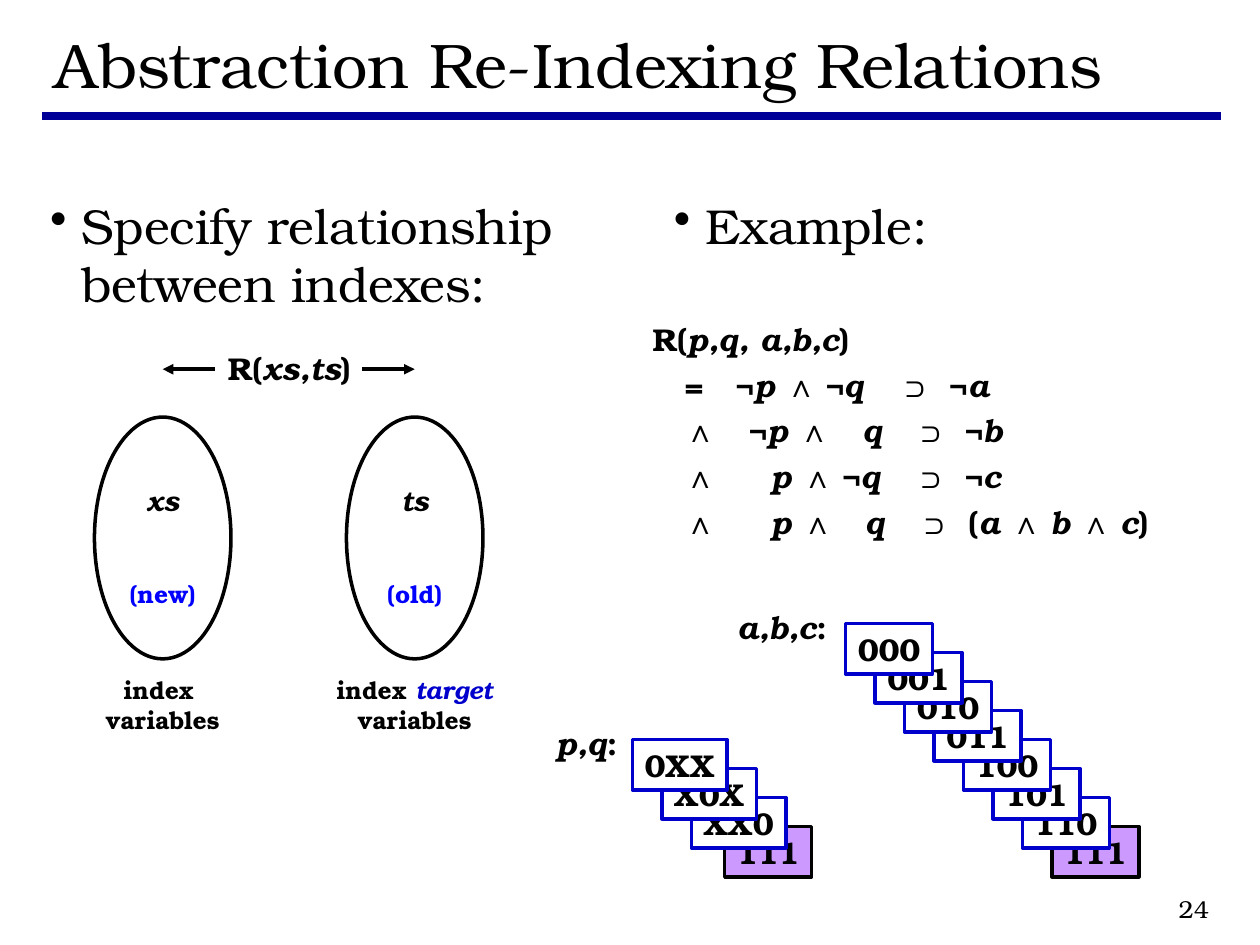
"""Build the slide on abstraction re-indexing relations."""
from dataclasses import dataclass
from itertools import groupby
from typing import NamedTuple

from lxml.etree import SubElement
from pptx import Presentation
from pptx.dml.color import RGBColor
from pptx.enum.shapes import MSO_CONNECTOR, MSO_SHAPE
from pptx.enum.text import MSO_ANCHOR, PP_ALIGN
from pptx.oxml.ns import qn
from pptx.shapes.base import BaseShape
from pptx.slide import Slide
from pptx.text.text import TextFrame
from pptx.util import Pt


@dataclass(frozen=True)
class Theme:
    font: str = "TeX Gyre Bonum"
    sign_font: str = "Arial"
    black: str = "000000"
    white: str = "FFFFFF"
    rule: str = "000099"
    edge: str = "0000CC"
    note: str = "0000FF"
    last: str = "CC99FF"
    title: float = 36
    body: float = 28
    main: float = 18
    name: float = 16
    small: float = 14


THEME = Theme()
SIGNS = "∧¬⊃"


class Box(NamedTuple):
    left: float
    top: float
    width: float
    height: float


class Span(NamedTuple):
    text: str
    color: str = THEME.black
    slant: bool = False
    font: str = THEME.font


class Line(NamedTuple):
    spans: list[Span]
    stops: tuple[float, ...] = ()


@dataclass(frozen=True)
class Look:
    size: float = THEME.main
    bold: bool = True
    align: PP_ALIGN = PP_ALIGN.LEFT
    anchor: MSO_ANCHOR = MSO_ANCHOR.TOP
    before: float = 0
    bullet: bool = False
    wrap: bool = True


class Oval(NamedTuple):
    left: float
    name: str
    note: str
    label: list[Span]


class Stack(NamedTuple):
    center: float
    title: str
    title_left: float
    cards: tuple[str, ...]


MID = Look(align=PP_ALIGN.CENTER, anchor=MSO_ANCHOR.MIDDLE)
SMALL = Look(THEME.small, align=PP_ALIGN.CENTER, anchor=MSO_ANCHOR.MIDDLE)
BULLET = Look(THEME.body, bold=False, bullet=True)

RULES = (
    ("R(p,q, a,b,c)", ()),
    ("\t=\t¬p ∧ ¬q\t⊃\t¬a", (18.4, 47.5, 141, 169.5)),
    ("\t∧\t¬p ∧\tq\t⊃\t¬b", (18.4, 55, 120, 150, 178.5)),
    ("\t∧\tp ∧ ¬q\t⊃\t¬c", (18.4, 67.5, 150, 178.5)),
    ("\t∧\tp ∧\tq\t⊃\t(a ∧ b ∧ c)", (18.4, 67.5, 121.5, 152, 180.5)),
)
OVALS = (
    Oval(54, "xs", "(new)", [Span("index ")]),
    Oval(198, "ts", "(old)", [Span("index "), Span("target", THEME.edge, True)]),
)
STACKS = (
    Stack(388.4, "p,q:", 275, ("0XX", "X0X", "XX0", "111")),
    Stack(508, "a,b,c:", 394.6, tuple(f"{n:03b}" for n in range(8))),
)


def math(text: str) -> list[Span]:
    """Split a formula into spans; a space keeps the style before it."""
    styles: list[tuple[str, bool]] = []
    for char in text:
        if char != " ":
            style = (THEME.sign_font if char in SIGNS else THEME.font,
                     char.islower() or char == ",")
        styles.append(style)
    parts = groupby(zip(styles, text), key=lambda pair: pair[0])
    return [Span("".join(char for _, char in part), THEME.black, slant, font)
            for (font, slant), part in parts]


def fill_text(frame: TextFrame, lines: list[Line], look: Look) -> None:
    """Write styled lines into a text frame."""
    frame.word_wrap = look.wrap
    frame.vertical_anchor = look.anchor
    for index, line in enumerate(lines):
        para = frame.add_paragraph() if index else frame.paragraphs[0]
        props = para._p.get_or_add_pPr()
        if look.bullet:
            props.set("marL", str(Pt(18)))
            props.set("indent", str(-Pt(18)))
            SubElement(props, qn("a:buChar"), char="•")
        if line.stops:
            tabs = SubElement(props, qn("a:tabLst"))
            for stop in line.stops:
                SubElement(tabs, qn("a:tab"), pos=str(Pt(stop)), algn="l")
        para.alignment = look.align
        para.space_before = Pt(look.before if index else 0)
        for span in line.spans:
            run = para.add_run()
            run.text = span.text
            run.font.size, run.font.name = Pt(look.size), span.font
            run.font.bold, run.font.italic = look.bold, span.slant
            run.font.color.rgb = RGBColor.from_string(span.color)


def add_text(slide: Slide, box: Box, lines: list[Line], look: Look) -> None:
    """Add a text box."""
    fill_text(slide.shapes.add_textbox(*map(Pt, box)).text_frame, lines, look)


def add_form(slide: Slide, kind: MSO_SHAPE, box: Box, edge: str, fill: str = "") -> BaseShape:
    """Add an outlined shape, filled when a colour is given."""
    form = slide.shapes.add_shape(kind, *map(Pt, box))
    form.shadow.inherit = False
    form.line.color.rgb = RGBColor.from_string(edge)
    form.line.width = Pt(2)
    if fill:
        form.fill.solid()
        form.fill.fore_color.rgb = RGBColor.from_string(fill)
    else:
        form.fill.background()
    return form


def add_line(slide: Slide, start: float, end: float, top: float, color: str,
             width: float, arrow: bool = False) -> None:
    """Add a level line, with an arrowhead at its end if asked."""
    line = slide.shapes.add_connector(MSO_CONNECTOR.STRAIGHT, Pt(start), Pt(top), Pt(end), Pt(top))
    line.line.color.rgb = RGBColor.from_string(color)
    line.line.width = Pt(width)
    if arrow:
        SubElement(line.line._get_or_add_ln(), qn("a:tailEnd"), type="triangle")
    SubElement(line._element.spPr, qn("a:effectLst"))


def add_oval(slide: Slide, oval: Oval) -> None:
    """Add an index set with its name, note and label."""
    left = oval.left
    add_form(slide, MSO_SHAPE.OVAL, Box(left, 238.3, 78, 138.2), THEME.black)
    add_text(slide, Box(left, 272.9, 78, 26.6), [Line([Span(oval.name, slant=True)])],
             Look(THEME.name, align=PP_ALIGN.CENTER, anchor=MSO_ANCHOR.MIDDLE))
    add_text(slide, Box(left - 3, 326.9, 84, 24.5), [Line([Span(oval.note, THEME.note)])], SMALL)
    add_text(slide, Box(left - 27, 382.3, 132, 41), [Line(oval.label), Line([Span("variables")])],
             Look(THEME.small, align=PP_ALIGN.CENTER))


def add_stack(slide: Slide, stack: Stack) -> None:
    """Add a cascade of cards, the last one at the back."""
    count = len(stack.cards)
    top = 472.3 - 16.57 * (count - 1)
    for step, text in reversed(list(enumerate(stack.cards))):
        width = 54 if "X" in text else 49.7
        box = Box(stack.center + 16.85 * step - width / 2, top + 16.57 * step, width, 28.8)
        edge, fill = (THEME.black, THEME.last) if step == count - 1 else (THEME.edge, THEME.white)
        card = add_form(slide, MSO_SHAPE.RECTANGLE, box, edge, fill)
        fill_text(card.text_frame, [Line([Span(text)])],
                  Look(align=PP_ALIGN.CENTER, anchor=MSO_ANCHOR.MIDDLE, wrap=False))
    add_text(slide, Box(stack.title_left, top - 12.2, 85, 28.8),
             [Line(math(stack.title))], Look(align=PP_ALIGN.RIGHT))


def main() -> None:
    """Draw and save the slide."""
    deck = Presentation()
    deck.slide_width, deck.slide_height = Pt(720), Pt(540)
    slide = deck.slides.add_slide(deck.slide_layouts[6])
    add_line(slide, 24, 697.7, 66.24, THEME.rule, 5)
    add_text(slide, Box(24, 12.2, 674, 48.2), [Line([Span("Abstraction Re-Indexing Relations")])],
             Look(THEME.title, bold=False, anchor=MSO_ANCHOR.MIDDLE))
    add_text(slide, Box(21.6, 108, 316, 78),
             [Line([Span("Specify relationship between indexes:")])], BULLET)
    add_text(slide, Box(378, 108, 320, 48), [Line([Span("Example:")])], BULLET)
    add_text(slide, Box(123.1, 195.8, 90, 28.8), [Line(math("R(xs,ts)"))],
             Look(anchor=MSO_ANCHOR.MIDDLE))
    for start, end in ((123, 93), (207, 237)):
        add_line(slide, start, end, 211, THEME.black, 2, arrow=True)
    for oval in OVALS:
        add_oval(slide, oval)
    add_text(slide, Box(365.8, 179.3, 324, 133.2),
             [Line(math(text), stops) for text, stops in RULES], Look(before=4.5))
    for stack in STACKS:
        add_stack(slide, stack)
    add_text(slide, Box(548, 504, 150, 30), [Line([Span("24")])],
             Look(THEME.small, bold=False, align=PP_ALIGN.RIGHT, anchor=MSO_ANCHOR.MIDDLE))
    deck.save("out.pptx")


if __name__ == "__main__":
    main()
